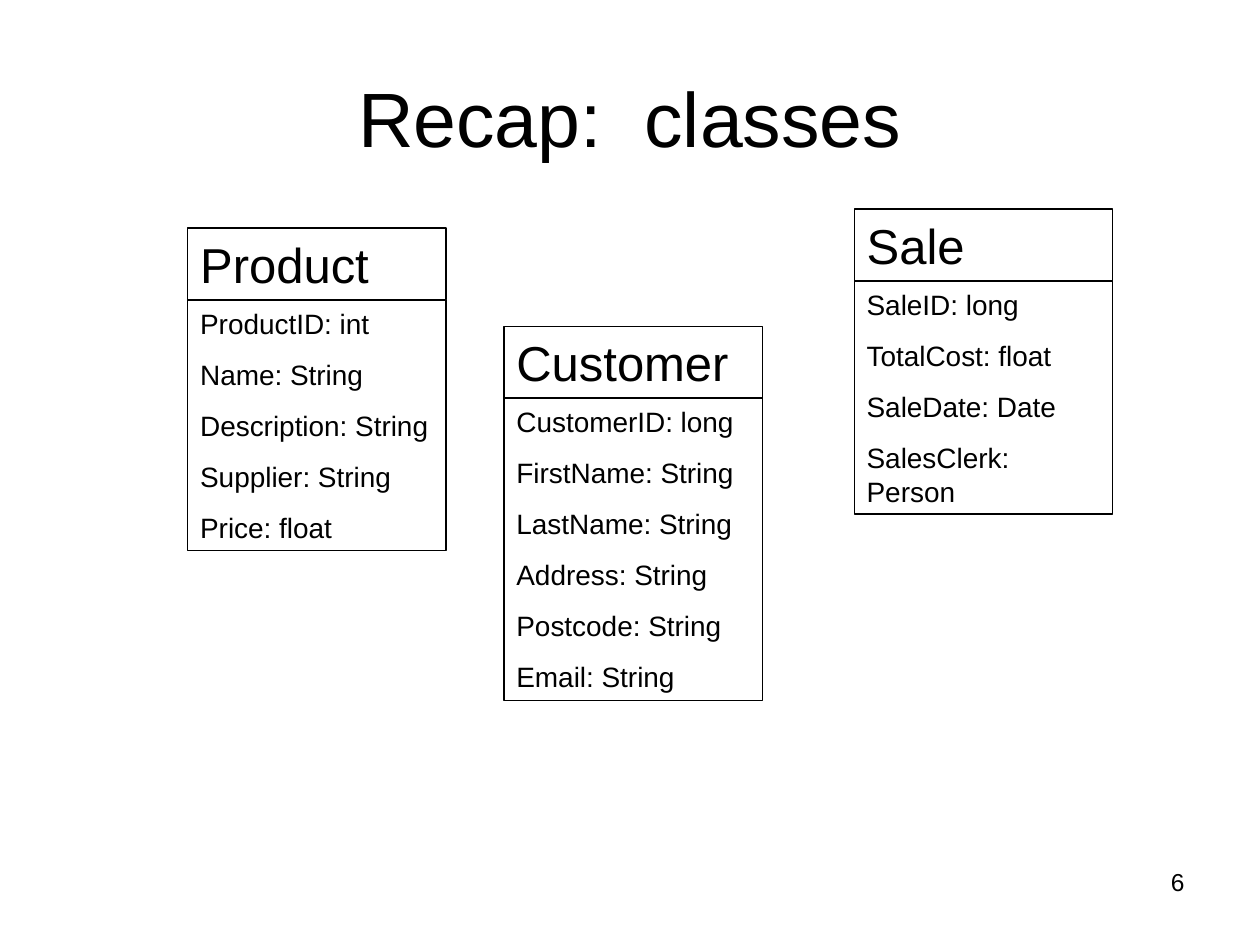
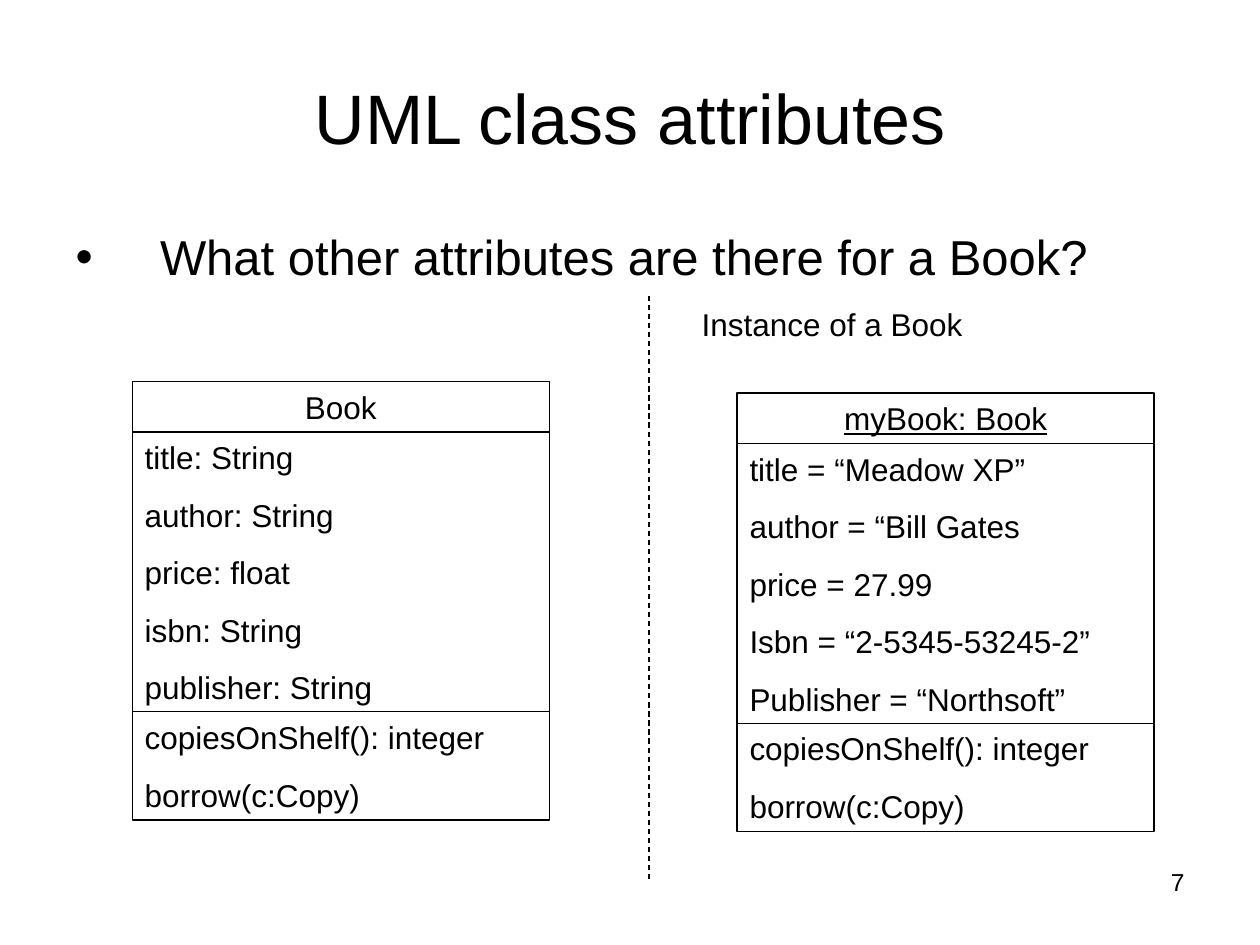
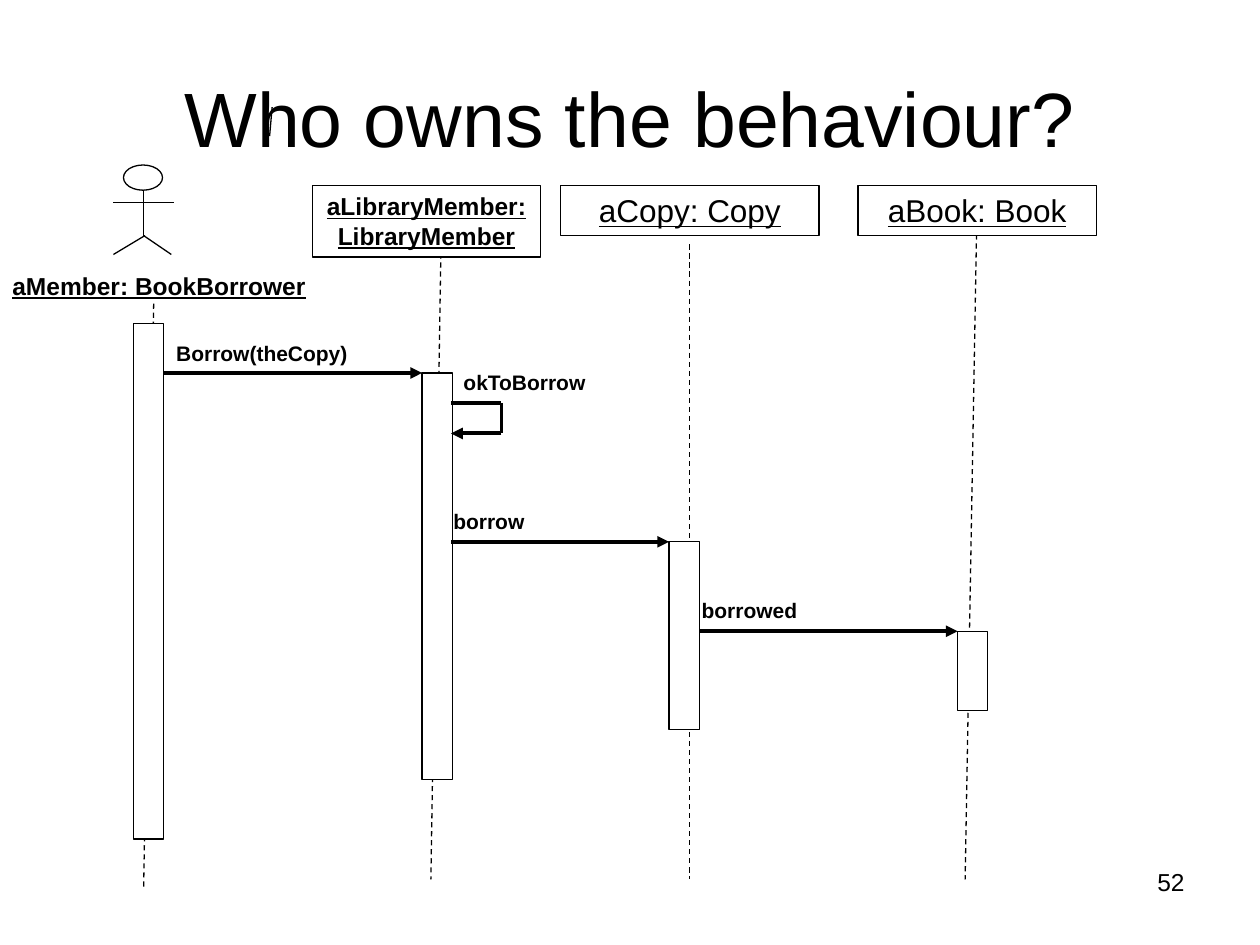
from lxml import etree
from pptx import Presentation
from pptx.dml.color import RGBColor
from pptx.enum.dml import MSO_LINE
from pptx.enum.shapes import MSO_CONNECTOR, MSO_SHAPE
from pptx.enum.text import MSO_ANCHOR, MSO_AUTO_SIZE, PP_ALIGN
from pptx.oxml.ns import qn
from pptx.util import Inches, Pt

BLACK = RGBColor(0x00, 0x00, 0x00)
WHITE = RGBColor(0xFF, 0xFF, 0xFF)
FONT = "Arial"
THIN, THICK = 0.75, 2.25
LEFT, CENTER, RIGHT = PP_ALIGN.LEFT, PP_ALIGN.CENTER, PP_ALIGN.RIGHT
TOP, MIDDLE = MSO_ANCHOR.TOP, MSO_ANCHOR.MIDDLE
GROW = MSO_AUTO_SIZE.SHAPE_TO_FIT_TEXT
RECTANGLE, OVAL = MSO_SHAPE.RECTANGLE, MSO_SHAPE.OVAL
STRAIGHT = MSO_CONNECTOR.STRAIGHT
DASH = MSO_LINE.DASH


def add_block(slide, box, lines=(), size=18, align=LEFT, bold=False,
              underline=False, outline=RECTANGLE):
    """Add an outlined block, or a plain text box when outline is None."""
    area = [Inches(value) for value in box]
    if outline is None:
        shape = slide.shapes.add_textbox(*area)
    else:
        shape = slide.shapes.add_shape(outline, *area)
        shape.shadow.inherit = False
        shape.fill.solid()
        shape.fill.fore_color.rgb = WHITE
        shape.line.color.rgb = BLACK
        shape.line.width = Pt(THIN)
    if not lines:
        return
    frame = shape.text_frame
    frame.word_wrap = True
    frame.auto_size = GROW
    frame.vertical_anchor = TOP
    for index, text in enumerate(lines):
        paragraph = frame.add_paragraph() if index else frame.paragraphs[0]
        paragraph.alignment = align
        if index:
            paragraph.space_before = Pt(size * 0.625)
        run = paragraph.add_run()
        run.text = text
        run.font.name = FONT
        run.font.size = Pt(size)
        run.font.bold = bold
        run.font.underline = underline
        run.font.color.rgb = BLACK


def add_line(slide, start, end, width=THIN, dashed=False, arrow=False):
    points = [Inches(value) for value in (*start, *end)]
    connector = slide.shapes.add_connector(STRAIGHT, *points)
    connector.line.color.rgb = BLACK
    connector.line.width = Pt(width)
    if dashed:
        connector.line.dash_style = DASH
    properties = connector._element.spPr
    if arrow:
        etree.SubElement(properties.find(qn("a:ln")), qn("a:tailEnd"), type="triangle")
    etree.SubElement(properties, qn("a:effectLst"))


presentation = Presentation()
presentation.slide_width = Inches(10)
presentation.slide_height = Inches(7.5)

# Shared title and page number
TITLE_AND_BODY, TITLE_ONLY = 1, 5
slides = []
for layout, title_text, title_size, number in (
    (TITLE_ONLY, "Recap:  classes", 44, "6"),
    (TITLE_AND_BODY, "UML class attributes", 40, "7"),
    (TITLE_ONLY, "Who owns the behaviour?", 44, "52"),
):
    slide = presentation.slides.add_slide(presentation.slide_layouts[layout])
    title = slide.shapes.title
    title.left, title.top = Inches(0.5), Inches(0.3)
    title.width, title.height = Inches(9), Inches(1.25)
    title.text_frame.vertical_anchor = MIDDLE
    paragraph = title.text_frame.paragraphs[0]
    paragraph.alignment = CENTER
    run = paragraph.add_run()
    run.text = title_text
    run.font.name = FONT
    run.font.size = Pt(title_size)
    run.font.color.rgb = BLACK
    add_block(slide, (7.17, 6.83, 2.33, 0.52), [number], 14, RIGHT, outline=None)
    slides.append(slide)
recap_slide, attributes_slide, behaviour_slide = slides

# Recap: class boxes with a name and attributes
CLASS_WIDTH, NAME_HEIGHT = 2.05, 0.57
for left, top, height, name, attributes in (
    (1.49, 1.81, 1.99, "Product",
     ["ProductID: int", "Name: String", "Description: String",
      "Supplier: String", "Price: float"]),
    (4, 2.59, 2.4, "Customer",
     ["CustomerID: long", "FirstName: String", "LastName: String",
      "Address: String", "Postcode: String", "Email: String"]),
    (6.78, 1.66, 1.85, "Sale",
     ["SaleID: long", "TotalCost: float", "SaleDate: Date",
      "SalesClerk: Person"]),
):
    add_block(recap_slide, (left, top, CLASS_WIDTH, NAME_HEIGHT), [name], 28)
    add_block(recap_slide, (left, top + NAME_HEIGHT, CLASS_WIDTH, height), attributes, 16)

# Attributes: question
body = attributes_slide.placeholders[1]
body.left, body.top = Inches(0.5), Inches(1.75)
body.width, body.height = Inches(8.83), Inches(5.31)
paragraph = body.text_frame.paragraphs[0]
paragraph_properties = paragraph._p.get_or_add_pPr()
paragraph_properties.set("marL", str(Inches(0.67)))
paragraph_properties.set("indent", str(Inches(-0.67)))
etree.SubElement(paragraph_properties, qn("a:buChar"), char="•")
paragraph.space_before = Pt(0)
run = paragraph.add_run()
run.text = "What other attributes are there for a Book?"
run.font.name = FONT
run.font.size = Pt(28)
run.font.color.rgb = BLACK

# Attributes: class on the left, instance on the right
BOOK_WIDTH = 3.31
OPERATIONS = ["copiesOnShelf(): integer", "borrow(c:Copy)"]
for left, top, name, is_instance, attributes in (
    (1.05, 3.03, "Book", False,
     ["title: String", "author: String", "price: float", "isbn: String",
      "publisher: String"]),
    (5.85, 3.12, "myBook: Book", True,
     ["title = “Meadow XP”", "author = “Bill Gates", "price = 27.99",
      "Isbn = “2-5345-53245-2”", "Publisher = “Northsoft”"]),
):
    add_block(attributes_slide, (left, top, BOOK_WIDTH, 0.4), [name],
              align=CENTER, underline=is_instance)
    add_block(attributes_slide, (left, top + 0.4, BOOK_WIDTH, 2.23), attributes)
    add_block(attributes_slide, (left, top + 2.62, BOOK_WIDTH, 0.86), OPERATIONS)
add_line(attributes_slide, (5.15, 2.35), (5.15, 7), dashed=True)
add_block(attributes_slide, (5.47, 2.37, 2.46, 0.4), ["Instance of a Book"], outline=None)

# Behaviour: lifelines
for start, end in (
    ((3.5, 1.94), (3.42, 6.98)),
    ((7.75, 1.86), (7.66, 6.98)),
    ((5.47, 1.94), (5.47, 6.98)),
    ((1.22, 2.41), (1.14, 7.06)),
):
    add_line(behaviour_slide, start, end, dashed=True)

# Behaviour: participants
for left, width, height, name, size, bold in (
    (2.48, 1.81, 0.57, "aLibraryMember: LibraryMember", 14, True),
    (4.45, 2.05, 0.4, "aCopy: Copy", 18, False),
    (6.81, 1.89, 0.4, "aBook: Book", 18, False),
):
    add_block(behaviour_slide, (left, 1.47, width, height), [name], size,
              CENTER, bold, underline=True)
add_block(behaviour_slide, (0, 2.1, 2.67, 0.34), ["aMember: BookBorrower"], 14,
          bold=True, underline=True, outline=None)

# Behaviour: activation bars
for left, top, height in (
    (1.06, 2.57, 4.09), (3.35, 2.96, 3.23), (5.31, 4.3, 1.49), (7.6, 5.01, 0.63),
):
    add_block(behaviour_slide, (left, top, 0.24, height))

# Behaviour: messages between bars
for start, end, top in ((1.3, 3.35, 2.96), (3.58, 5.31, 4.3), (5.55, 7.6, 5.01)):
    add_line(behaviour_slide, (start, top), (end, top), THICK, arrow=True)

# Behaviour: message to itself
add_line(behaviour_slide, (3.58, 3.2), (3.98, 3.2), THICK)
add_line(behaviour_slide, (3.98, 3.44), (3.98, 3.2), THICK)
add_line(behaviour_slide, (3.98, 3.44), (3.58, 3.44), THICK, arrow=True)

# Behaviour: message labels
for left, top, width, label in (
    (1.3, 2.65, 1.98, "Borrow(theCopy)"),
    (3.58, 2.88, 1.89, "okToBorrow"),
    (3.5, 3.99, 1.73, "borrow"),
    (5.47, 4.69, 1.89, "borrowed"),
):
    add_block(behaviour_slide, (left, top, width, 0.3), [label], 12, bold=True, outline=None)

# Behaviour: stick figure and the short stroke in the title
add_block(behaviour_slide, (0.98, 1.31, 0.31, 0.2), outline=OVAL)
for start, end in (
    ((1.14, 1.51), (1.14, 1.88)),
    ((1.15, 1.87), (0.9, 2.02)),
    ((1.14, 1.87), (1.36, 2.02)),
    ((0.9, 1.61), (1.38, 1.61)),
    ((2.14, 1.08), (2.16, 0.85)),
):
    add_line(behaviour_slide, start, end)

presentation.save("out.pptx")
